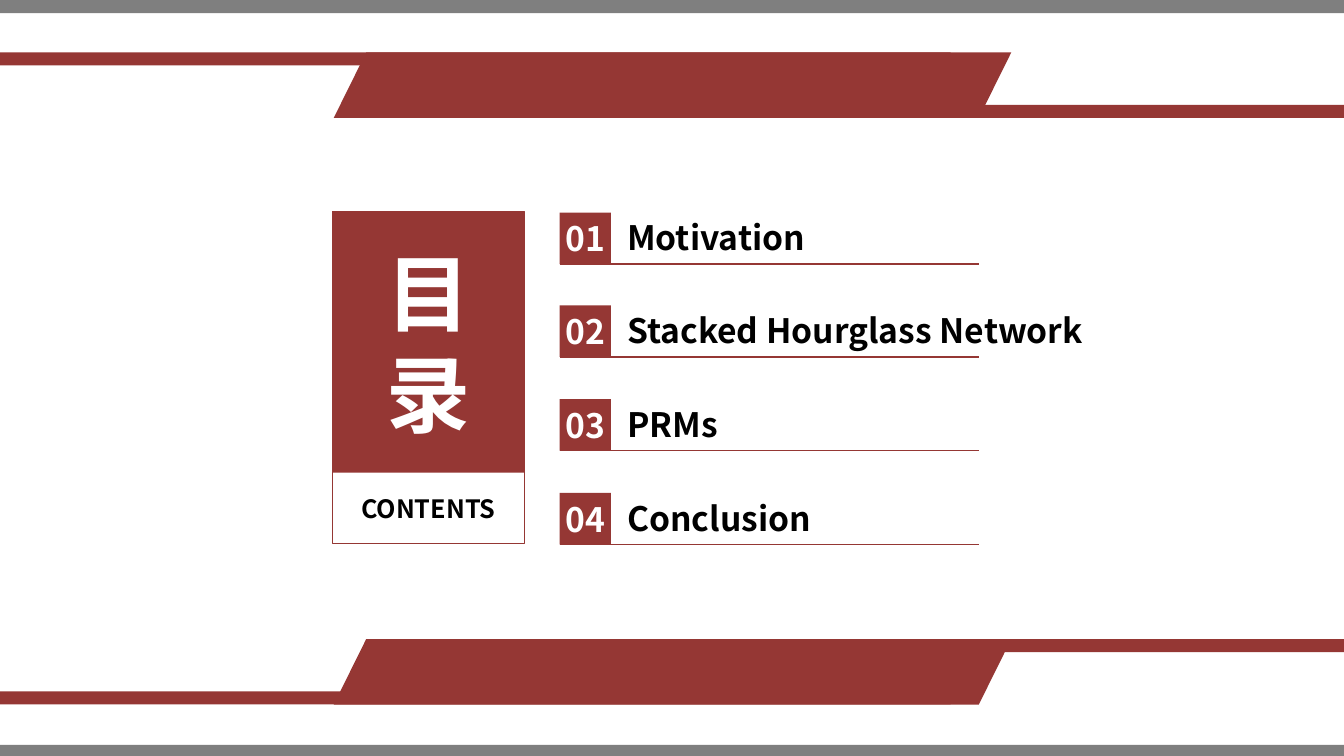
from lxml import etree
from pptx import Presentation
from pptx.dml.color import RGBColor
from pptx.enum.shapes import MSO_CONNECTOR, MSO_SHAPE
from pptx.enum.text import MSO_ANCHOR, MSO_AUTO_SIZE, PP_ALIGN
from pptx.oxml.ns import qn
from pptx.util import Pt

PX = 9144
WIDE, HIGH = 1333, 750
FONT = "Noto Sans CJK SC"
HUES = {"red": "953734", "gray": "7F7F7F", "white": "FFFFFF", "black": "000000"}
ITEMS = ["Motivation", "Stacked Hourglass Network", "PRMs", "Conclusion"]
RECT, SLANT = MSO_SHAPE.RECTANGLE, MSO_SHAPE.PARALLELOGRAM
LINE = MSO_CONNECTOR.STRAIGHT
MIDDLE = MSO_ANCHOR.MIDDLE
FIXED = MSO_AUTO_SIZE.NONE
LEFT, CENTER = PP_ALIGN.LEFT, PP_ALIGN.CENTER


def emu(*sizes):
    return [size * PX for size in sizes]


def rgb(hue):
    return RGBColor.from_string(HUES[hue])


def paint(shape, hue):
    shape.fill.solid()
    shape.fill.fore_color.rgb = rgb(hue)


def block(slide, box, hue=None, kind=RECT):
    shape = slide.shapes.add_shape(kind, *emu(*box))
    shape.shadow.inherit = False
    if hue:
        paint(shape, hue)
        shape.line.fill.background()
    else:
        shape.fill.background()
        shape.line.color.rgb = rgb("red")
        shape.line.width = Pt(1)
    return shape


def write(shape, text, size, hue, align=CENTER, inset=0, wrap=True):
    frame = shape.text_frame
    frame.text = text
    frame.auto_size = FIXED
    frame.word_wrap = wrap
    frame.vertical_anchor = MIDDLE
    frame.margin_left = frame.margin_right = inset * PX
    frame.margin_top = frame.margin_bottom = 0
    para = frame.paragraphs[0]
    para.alignment = align
    font = para.font
    font.name, font.size, font.bold = FONT, Pt(size), True
    font.color.rgb = rgb(hue)
    props = para._p.pPr.find(qn("a:defRPr"))
    etree.SubElement(props, qn("a:ea")).set("typeface", FONT)


def band(slide, top, left_drop, right_drop):
    block(slide, (0, top + left_drop, 943, 13), "red")
    block(slide, (460, top + right_drop, WIDE - 460, 13), "red")
    slant = block(slide, (331, top, 672, 65), "red", SLANT)
    slant.adjustments[0] = 0.496


def cover(slide, left, top, wide, high):
    head = slide.shapes.title
    head.left, head.top, head.width, head.height = emu(left, top, wide, 259)
    paint(head, "red")
    write(head, "目录", 60, "white", inset=29)
    block(slide, (left, top, wide, high))
    label = slide.shapes.add_textbox(*emu(left, top + 259, wide, high - 259))
    write(label, "CONTENTS", 18, "black")


def entry(slide, left, top, wide, side, number, text):
    tile = block(slide, (left, top, side, side), "red")
    write(tile, f"{number:02}", 24, "white", wrap=False)
    label = slide.shapes.add_textbox(*emu(left + side, top - 1, 608, side))
    write(label, text, 24, "black", LEFT, 16)
    base = top + side
    rule = slide.shapes.add_connector(LINE, *emu(left, base, left + wide, base))
    rule.line.color.rgb = rgb("red")
    rule.line.width = Pt(1)
    etree.SubElement(rule._element.spPr, qn("a:effectLst"))


def agenda(slide, left, top, wide, high):
    side = 51
    for i, text in enumerate(ITEMS):
        drop = (high - side) * i // (len(ITEMS) - 1)
        entry(slide, left, top + drop, wide, side, i + 1, text)


def main():
    deck = Presentation()
    deck.slide_width, deck.slide_height = emu(WIDE, HIGH)
    slide = deck.slides.add_slide(deck.slide_layouts[5])
    cover(slide, 330, 210, 190, 329)
    agenda(slide, 555, 211, 416, 329)
    block(slide, (0, 0, WIDE, 13), "gray")
    band(slide, 52, 0, 52)
    band(slide, 634, 52, 0)
    block(slide, (0, 739, WIDE, 11), "gray")
    deck.save("out.pptx")


if __name__ == "__main__":
    main()
